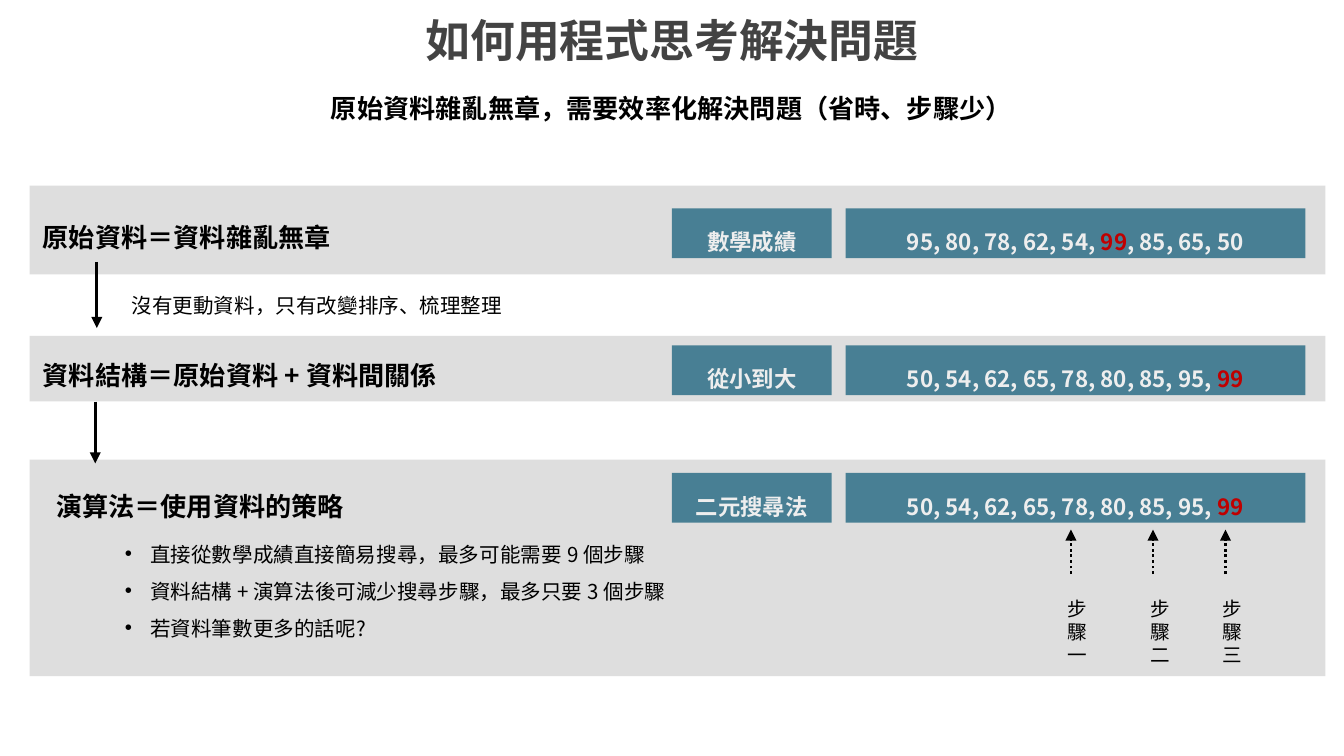
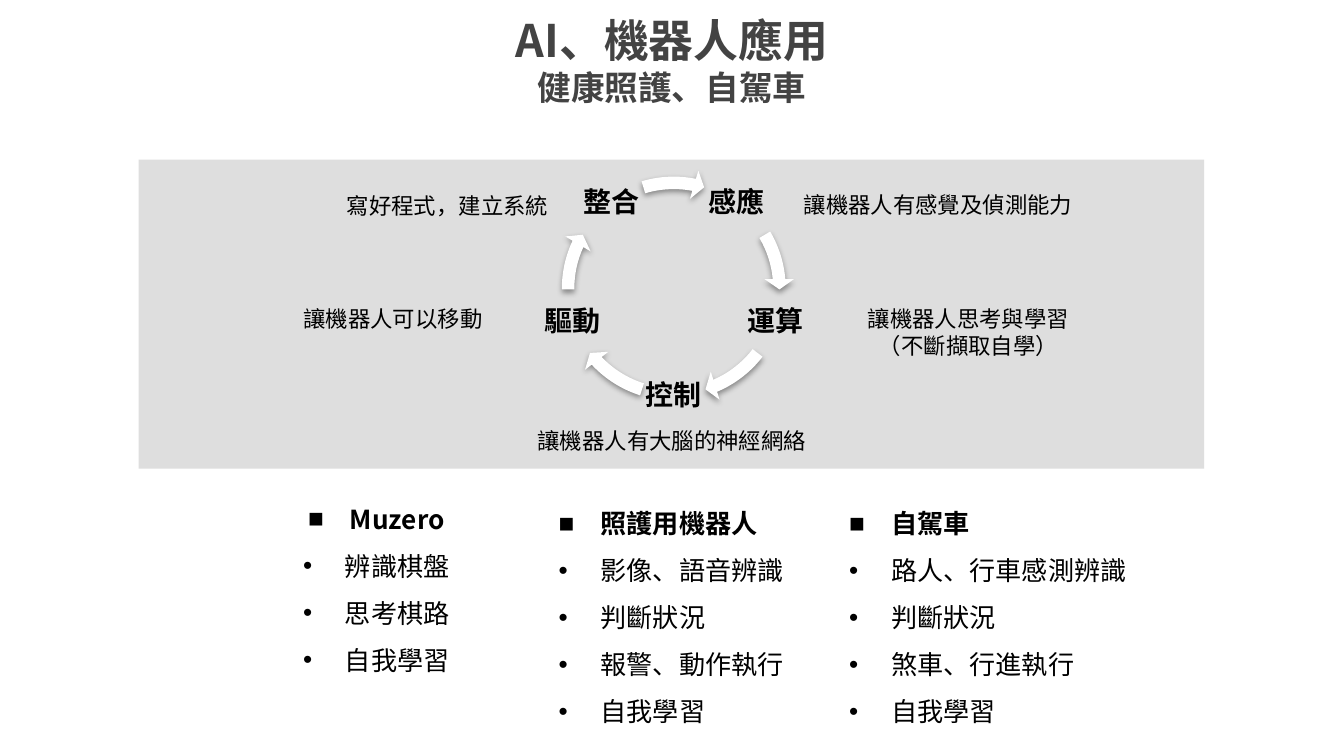
from typing import NamedTuple

from lxml.etree import SubElement
from pptx import Presentation
from pptx.dml.color import RGBColor
from pptx.enum.dml import MSO_LINE
from pptx.enum.shapes import MSO_CONNECTOR, MSO_SHAPE
from pptx.enum.text import MSO_ANCHOR, PP_ALIGN
from pptx.oxml.ns import qn
from pptx.util import Cm, Pt

FONT = "Noto Sans CJK SC"
BLACK = RGBColor(0x00, 0x00, 0x00)
WHITE = RGBColor(0xFF, 0xFF, 0xFF)
TITLE_GRAY = RGBColor(0x43, 0x43, 0x43)
BAND_GRAY = RGBColor(0xBF, 0xBF, 0xBF)
TEAL = RGBColor(0x48, 0x7F, 0x94)
PALE = RGBColor(0xEE, 0xEE, 0xEE)
RED = RGBColor(0xC0, 0x00, 0x00)
LEFT, CENTER = PP_ALIGN.LEFT, PP_ALIGN.CENTER


class Area(NamedTuple):
    """A rectangle on the page, in centimetres."""
    left: float
    top: float
    width: float
    height: float

    def lengths(self) -> list:
        """Return the four sides as lengths."""
        return [Cm(side) for side in self]


class Style(NamedTuple):
    """How the text of a box looks."""
    size: float
    bold: bool = False
    color: RGBColor = BLACK
    align: PP_ALIGN = LEFT
    spacing: float = 1.0


class Label(NamedTuple):
    """A text with its place and style."""
    text: str
    area: Area
    style: Style
    wrap: bool = True


class DataRow(NamedTuple):
    """A teal caption with its row of scores."""
    top: float
    caption: str
    scores: str


class Step(NamedTuple):
    """A search step with its arrow and its label."""
    arrow_x: float
    label_x: float
    text: str


class Stage(NamedTuple):
    """A stage of the cycle and the angles of the arrow next to it."""
    text: str
    left: float
    top: float
    arrow_end: float
    arrow_start: float


class Topic(NamedTuple):
    """A headed bullet list."""
    area: Area
    align: PP_ALIGN
    lines: list[str]


TITLE = Style(24, True, TITLE_GRAY, CENTER)
HEADING = Style(14, True, spacing=1.5)
CHIP = Style(12, True, PALE, CENTER, 1.5)
BODY = Style(11, spacing=1.5)
STEP = Style(10.5, align=CENTER)
STAGE = Style(15, True, align=CENTER, spacing=0.9)
NOTE = Style(12, align=CENTER)
TITLE_AREA = Area(5.46, 0, 14.48, 2.62)
RING_AREA = Area(10.46, 3.18, 4.55, 4.55)
TARGET = "99"

BANDS = [Area(0.56, 8.69, 24.49, 4.09), Area(0.56, 6.35, 24.49, 1.24),
         Area(0.56, 3.51, 24.49, 1.68)]
THINKING_LABELS = [
    Label("原始資料雜亂無章，需要效率化解決問題（省時、步驟少）",
          Area(5.38, 1.32, 14.63, 1.04), HEADING._replace(align=CENTER)),
    Label("資料結構＝原始資料 + 資料間關係", Area(0.56, 6.38, 15.42, 1.04), HEADING),
    Label("原始資料＝資料雜亂無章", Area(0.56, 3.76, 6.83, 1.04), HEADING),
    Label("演算法＝使用資料的策略", Area(0.81, 8.84, 5.99, 1.04), HEADING, wrap=False),
    Label("沒有更動資料，只有改變排序、梳理整理", Area(2.24, 5.18, 8.56, 0.86), BODY),
]
DATA_ROWS = [
    DataRow(3.94, "數學成績", "95, 80, 78, 62, 54, 99, 85, 65, 50"),
    DataRow(6.53, "從小到大", "50, 54, 62, 65, 78, 80, 85, 95, 99"),
    DataRow(8.94, "二元搜尋法", "50, 54, 62, 65, 78, 80, 85, 95, 99"),
]
STEPS = [Step(20.24, 20.02, "步驟一"), Step(21.79, 21.59, "步驟二"),
         Step(23.16, 22.94, "步驟三")]
STRATEGY = ["直接從數學成績直接簡易搜尋，最多可能需要 9 個步驟",
            "資料結構 + 演算法後可減少搜尋步驟，最多只要 3 個步驟",
            "若資料筆數更多的話呢?"]

STAGES = [
    Stage("感應", 13.31, 3.23, 212.942, 197.654),
    Stage("運算", 14.05, 5.49, 40.157, 22.525),
    Stage("控制", 12.12, 6.88, 82.118, 64.486),
    Stage("驅動", 10.21, 5.49, 122.989, 107.701),
    Stage("整合", 10.95, 3.23, 168.667, 151.977),
]
STAGE_NOTES = [
    Label("讓機器人有感覺及偵測能力", Area(14.94, 3.48, 6.81, 0.76),
          NOTE._replace(align=LEFT)),
    Label("讓機器人思考與學習\n（不斷擷取自學）", Area(15.42, 5.64, 5.77, 1.27), NOTE),
    Label("讓機器人有大腦的神經網絡", Area(9.73, 7.95, 5.94, 0.76), NOTE),
    Label("讓機器人可以移動", Area(4.85, 5.64, 5.16, 0.76), NOTE),
    Label("寫好程式，建立系統", Area(5.77, 3.51, 5.38, 0.76), NOTE),
]
TOPICS = [
    Topic(Area(3.99, 9.09, 6.25, 4.62), CENTER,
          ["Muzero", "辨識棋盤", "思考棋路", "自我學習"]),
    Topic(Area(10.31, 9.17, 5.11, 4.62), LEFT,
          ["照護用機器人", "影像、語音辨識", "判斷狀況", "報警、動作執行", "自我學習"]),
    Topic(Area(15.8, 9.17, 6.07, 4.62), LEFT,
          ["自駕車", "路人、行車感測辨識", "判斷狀況", "煞車、行進執行", "自我學習"]),
]


def format_span(span, style: Style) -> None:
    """Apply the character part of a style to one run."""
    span.font.name = FONT
    span.font.size = Pt(style.size)
    span.font.bold = style.bold
    span.font.color.rgb = style.color


def format_para(para, style: Style) -> None:
    """Apply a style to a paragraph and its runs."""
    para.alignment = style.align
    para.line_spacing = style.spacing
    for span in para.runs:
        format_span(span, style)


def add_label(shapes, label: Label):
    """Add a text box and return it."""
    box = shapes.add_textbox(*label.area.lengths())
    frame = box.text_frame
    frame.word_wrap = label.wrap
    frame.text = label.text
    for para in frame.paragraphs:
        format_para(para, label.style)
    return box


def set_margins(box, margin: float) -> None:
    """Give a box the same margin on every side."""
    frame = box.text_frame
    frame.margin_left = frame.margin_right = Cm(margin)
    frame.margin_top = frame.margin_bottom = Cm(margin)


def add_title(page, text: str) -> None:
    """Add the title; its second line is smaller."""
    box = add_label(page.shapes, Label(text, TITLE_AREA, TITLE))
    set_margins(box, 0.25)
    for para in box.text_frame.paragraphs[1:]:
        format_para(para, TITLE._replace(size=18))


def add_filled(shapes, kind: MSO_SHAPE, area: Area, color: RGBColor):
    """Add a filled shape without outline or shadow and return it."""
    shape = shapes.add_shape(kind, *area.lengths())
    shape.shadow.inherit = False
    shape.fill.solid()
    shape.fill.fore_color.rgb = color
    shape.line.fill.background()
    return shape


def add_band(page, area: Area) -> None:
    """Add a half transparent gray band."""
    band = add_filled(page.shapes, MSO_SHAPE.RECTANGLE, area, BAND_GRAY)
    color = band._element.spPr.find(qn("a:solidFill")).find(qn("a:srgbClr"))
    SubElement(color, qn("a:alpha"), val="51000")


def add_chip(page, area: Area, text: str) -> None:
    """Add a teal box whose target number is red."""
    chip = add_filled(page.shapes, MSO_SHAPE.RECTANGLE, area, TEAL)
    chip.text_frame.word_wrap = True
    chip.text_frame.vertical_anchor = MSO_ANCHOR.TOP
    para = chip.text_frame.paragraphs[0]
    format_para(para, CHIP)
    for part in filter(None, text.partition(TARGET)):
        span = para.add_run()
        span.text = part
        format_span(span, CHIP._replace(color=RED) if part == TARGET else CHIP)


def add_arrow(page, x: float, start: float, end: float, dotted: bool = False) -> None:
    """Add a vertical arrow."""
    arrow = page.shapes.add_connector(
        MSO_CONNECTOR.STRAIGHT, Cm(x), Cm(start), Cm(x), Cm(end))
    arrow.line.color.rgb = BLACK
    arrow.line.width = Pt(1.5)
    if dotted:
        arrow.line.dash_style = MSO_LINE.ROUND_DOT
    SubElement(arrow.line._get_or_add_ln(), qn("a:tailEnd"), type="triangle")
    SubElement(arrow._element.spPr, qn("a:effectLst"))


def add_bullet(para, mark: str, indent: float) -> None:
    """Give a paragraph a black bullet and a hanging indent."""
    properties = para._p.get_or_add_pPr()
    properties.set("marL", str(Cm(indent)))
    properties.set("indent", str(-Cm(indent)))
    color = SubElement(properties, qn("a:buClr"))
    SubElement(color, qn("a:srgbClr"), val=str(BLACK))
    SubElement(properties, qn("a:buFont"), typeface="Arial")
    SubElement(properties, qn("a:buChar"), char=mark)


def add_topic(page, topic: Topic) -> None:
    """Add a bullet list with a bold first line."""
    style = HEADING._replace(bold=False, align=topic.align)
    box = add_label(page.shapes, Label("\n".join(topic.lines), topic.area, style))
    for number, para in enumerate(box.text_frame.paragraphs):
        add_bullet(para, "•" if number else "■", 0.79)
        para.runs[0].font.bold = number == 0


def add_stage(shapes, stage: Stage) -> None:
    """Add a stage name and its curved arrow."""
    area = Area(stage.left, stage.top, 1.22, 1.22)
    box = add_label(shapes, Label(stage.text, area, STAGE))
    set_margins(box, 0.05)
    box.text_frame.vertical_anchor = MSO_ANCHOR.MIDDLE
    arrow = add_filled(shapes, MSO_SHAPE.CIRCULAR_ARROW, RING_AREA, WHITE)
    values = (0.052, 3.357, stage.arrow_end, stage.arrow_start, 0.061)
    for number, value in enumerate(values):
        arrow.adjustments[number] = value
    effects = arrow._element.spPr.find(qn("a:effectLst"))
    shadow = SubElement(effects, qn("a:outerShdw"), blurRad=str(Pt(3.1)),
                        dist=str(Pt(1.6)), dir="5400000", rotWithShape="0")
    color = SubElement(shadow, qn("a:srgbClr"), val=str(BLACK))
    SubElement(color, qn("a:alpha"), val="38000")


def build_thinking(page) -> None:
    """Build the page on solving problems with programs."""
    for area in BANDS:
        add_band(page, area)
    add_title(page, "如何用程式思考解決問題")
    for label in THINKING_LABELS:
        add_label(page.shapes, label)
    add_arrow(page, 1.83, 4.95, 6.2)
    add_arrow(page, 1.8, 7.59, 8.76)
    for row in DATA_ROWS:
        add_chip(page, Area(12.7, row.top, 3.02, 0.94), row.caption)
        add_chip(page, Area(15.98, row.top, 8.69, 0.94), row.scores)
    for step in STEPS:
        add_arrow(page, step.arrow_x, 10.85, 10.01, dotted=True)
        add_label(page.shapes, Label(step.text, Area(step.label_x, 11.15, 0.41, 1.6), STEP))
    box = add_label(page.shapes, Label("\n".join(STRATEGY), Area(2.11, 9.88, 13.61, 3.43), BODY))
    for para in box.text_frame.paragraphs:
        add_bullet(para, "•", 0.48)


def build_robots(page) -> None:
    """Build the page on uses of AI and robots."""
    add_band(page, Area(2.62, 3.02, 20.14, 5.84))
    add_title(page, "AI、機器人應用\n健康照護、自駕車")
    cycle = page.shapes.add_group_shape()
    for stage in STAGES:
        add_stage(cycle.shapes, stage)
    for note in STAGE_NOTES:
        add_label(page.shapes, note)
    for topic in TOPICS:
        add_topic(page, topic)


def main() -> None:
    """Build and save the deck."""
    deck = Presentation()
    deck.slide_width, deck.slide_height = Cm(25.4), Cm(14.29)
    for build in (build_thinking, build_robots):
        build(deck.slides.add_slide(deck.slide_layouts[6]))
    deck.save("out.pptx")


if __name__ == "__main__":
    main()
